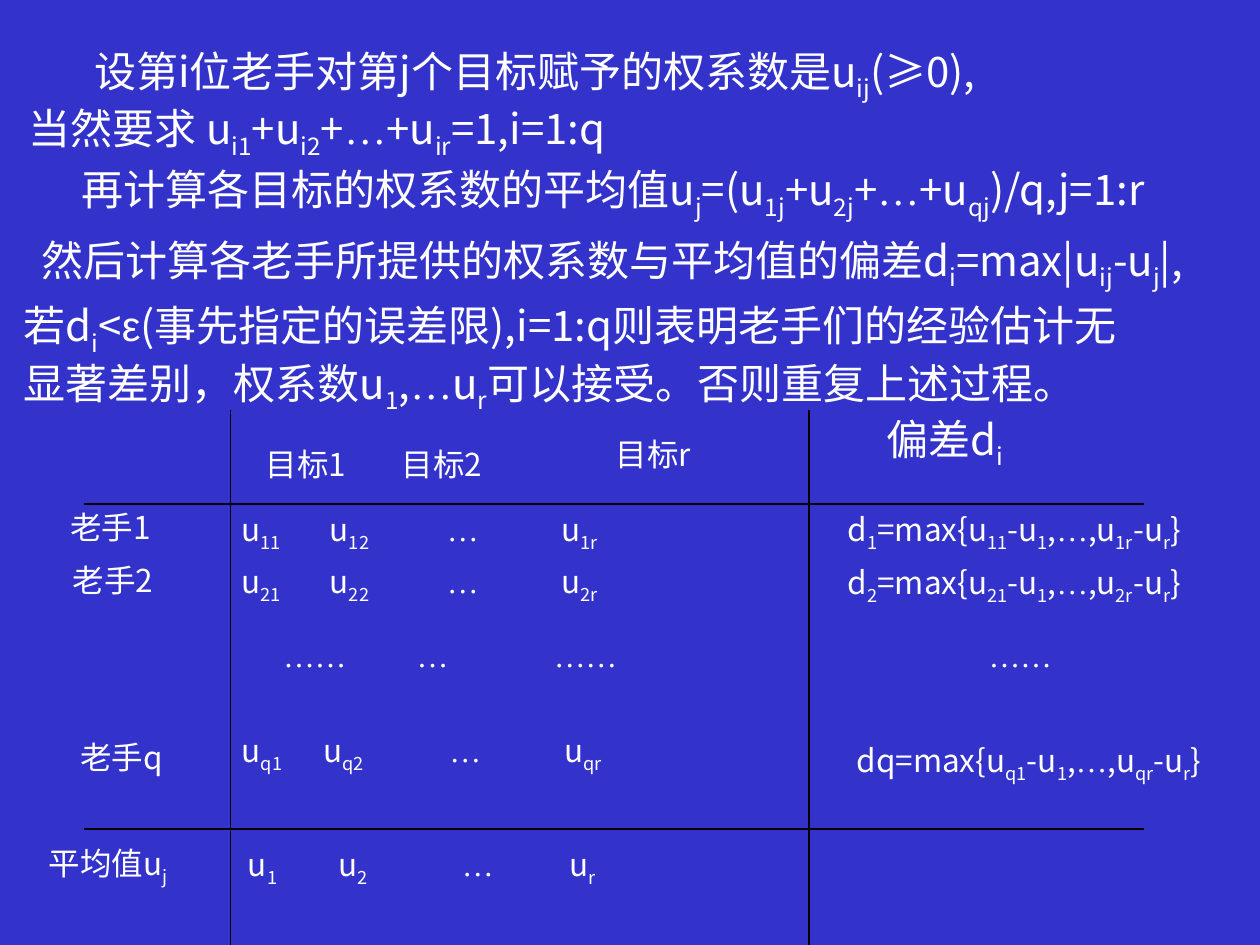
import itertools

import lxml.etree
import pptx
import pptx.dml.color
import pptx.enum.shapes
import pptx.enum.text
import pptx.oxml.ns
import pptx.util
from pptx.util import Inches

BLUE = pptx.dml.color.RGBColor(0x33, 0x33, 0xCC)
WHITE = pptx.dml.color.RGBColor(0xFF, 0xFF, 0xFF)
BLACK = pptx.dml.color.RGBColor(0x00, 0x00, 0x00)
FONT = "Noto Sans CJK SC"
SYMBOL_FONTS = {"…": "Times New Roman", "ε": "Arial"}
qn = pptx.oxml.ns.qn

prs = pptx.Presentation()
prs.slide_width = Inches(10)
prs.slide_height = Inches(7.5)
s = prs.slides.add_slide(prs.slide_layouts[6])
s.background.fill.solid()
s.background.fill.fore_color.rgb = BLUE


def add_runs(p, text, size):
    """Add runs to p; text between a pair of underscores is a subscript."""
    for i, part in enumerate(text.split("_")):
        for font, chars in itertools.groupby(part, lambda c: SYMBOL_FONTS.get(c, FONT)):
            r = p.add_run()
            r.text = "".join(chars)
            r.font.size = pptx.util.Pt(size)
            r.font.color.rgb = WHITE
            r.font.name = font
            rPr = r.font._element
            lxml.etree.SubElement(rPr, qn("a:ea")).set("typeface", font)
            if i % 2:
                rPr.set("baseline", "-25000")


def add_text(x, y, w, h, lines, size=18, indent=0, tabs=()):
    """Add a text box with one paragraph per line."""
    sp = s.shapes.add_textbox(Inches(x), Inches(y), Inches(w), Inches(h))
    tf = sp.text_frame
    tf.word_wrap = True
    tf.auto_size = pptx.enum.text.MSO_AUTO_SIZE.SHAPE_TO_FIT_TEXT
    for i, line in enumerate(lines):
        p = tf.paragraphs[0] if i == 0 else tf.add_paragraph()
        pPr = p._p.get_or_add_pPr()
        if indent and i == 0:
            pPr.set("indent", str(Inches(indent)))
        if tabs:
            tab_list = lxml.etree.SubElement(pPr, qn("a:tabLst"))
            for pos in tabs:
                tab = lxml.etree.SubElement(tab_list, qn("a:tab"))
                tab.set("pos", str(Inches(pos)))
                tab.set("algn", "l")
        add_runs(p, line, size)


# Explanation above the table
add_text(0.13, 0.31, 9.51, 1.01,
         ["设第i位老手对第j个目标赋予的权系数是u_ij_(≥0),",
          "当然要求 u_i1_+u_i2_+…+u_ir_=1,i=1:q"], 24, indent=0.52)
add_text(0.55, 1.25, 9.7, 0.56,
         ["再计算各目标的权系数的平均值u_j_=(u_1j_+u_2j_+…+u_qj_)/q,j=1:r"], 24)
add_text(0.23, 1.81, 9.95, 0.56,
         ["然后计算各老手所提供的权系数与平均值的偏差d_i_=max|u_ij_-u_j_|,"], 24)
add_text(0.09, 2.33, 9.79, 1.01,
         ["若d_i_<ε(事先指定的误差限),i=1:q则表明老手们的经验估计无",
          "显著差别，权系数u_1_,…u_r_可以接受。否则重复上述过程。"], 24)

# Table rules
for x1, y1, x2, y2 in [(1.83, 3.25, 1.83, 7.75), (6.42, 3.25, 6.42, 7.75),
                       (0.67, 4, 9.08, 4), (0.67, 6.58, 9.08, 6.58)]:
    line = s.shapes.add_connector(pptx.enum.shapes.MSO_CONNECTOR.STRAIGHT,
                                  Inches(x1), Inches(y1), Inches(x2), Inches(y2))
    line.line.color.rgb = BLACK
    line.line.width = pptx.util.Pt(0.75)
    lxml.etree.SubElement(line._element.spPr, qn("a:effectLst"))

# Column and row headings
add_text(6.94, 3.23, 1.26, 0.56, ["偏差d_i_"], 24)
for x, y, label in [(2.01, 3.48, "目标1"), (3.09, 3.48, "目标2"), (4.79, 3.4, "目标r"),
                    (0.46, 3.98, "老手1"), (0.48, 4.4, "老手2"), (0.54, 5.81, "老手q")]:
    add_text(x, y, 0.91, 0.4, [label])
add_text(0.29, 6.65, 1.25, 0.44, ["平均值u_j_"])

# Weights of each expert
for k, y, tabs in [("1", 4, (0.7, 1.63, 2.54)), ("2", 4.41, (0.7, 1.63, 2.54)),
                   ("q", 5.75, (0.65, 1.65, 2.56))]:
    add_text(1.82, y, 5.94, 0.44, [f"u_{k}1_\tu_{k}2_\t…\tu_{k}r_"], tabs=tabs)
add_text(2.15, 5, 5.21, 0.4, ["……\t…\t……"], tabs=(1.06, 2.15))
add_text(1.87, 6.66, 6.13, 0.44, ["u_1_\tu_2_\t…\tu_r_"], tabs=(0.72, 1.7, 2.55))

# Deviations
for head, k, x, y in [("d_1_", "1", 6.63, 4), ("d_2_", "2", 6.63, 4.42),
                      ("dq", "q", 6.7, 5.83)]:
    add_text(x, y, 3.35, 0.44, [f"{head}=max{{u_{k}1_-u_1_,…,u_{k}r_-u_r_}}"])
add_text(7.75, 5, 0.7, 0.4, ["……"])

prs.save("out.pptx")
